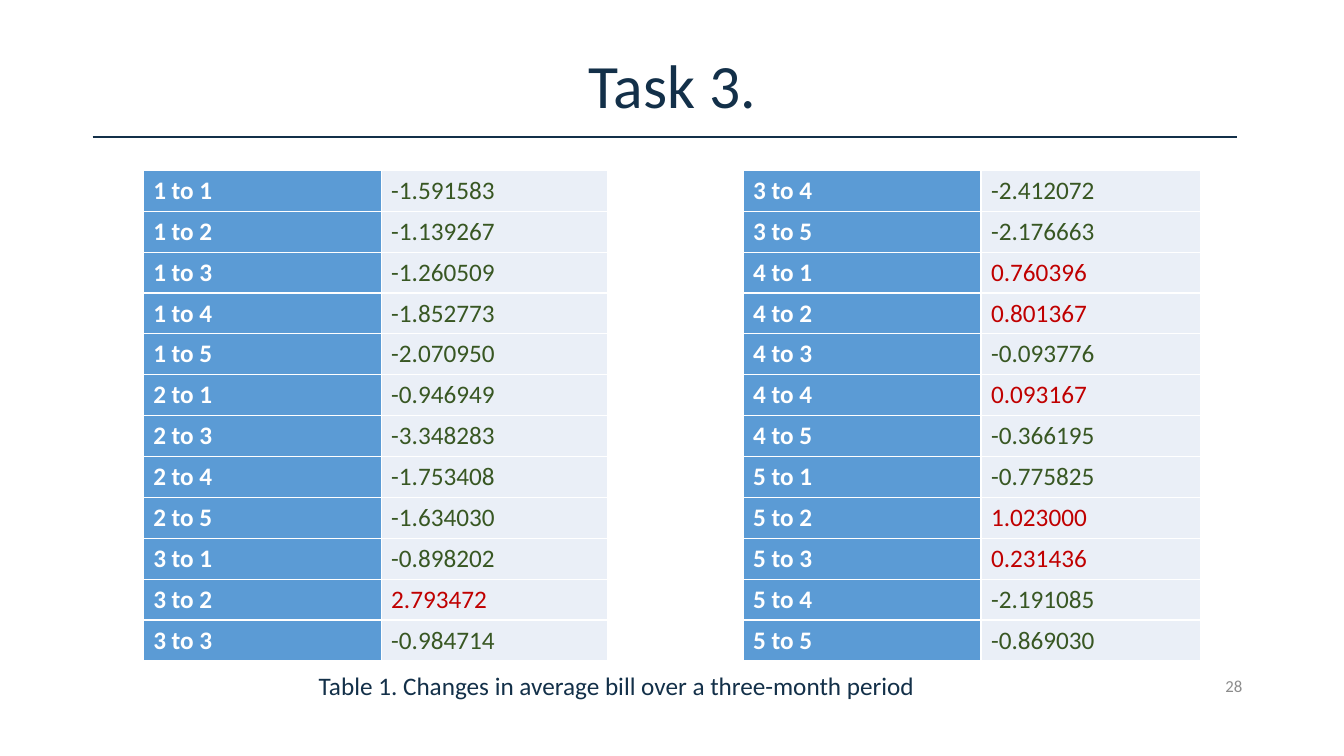
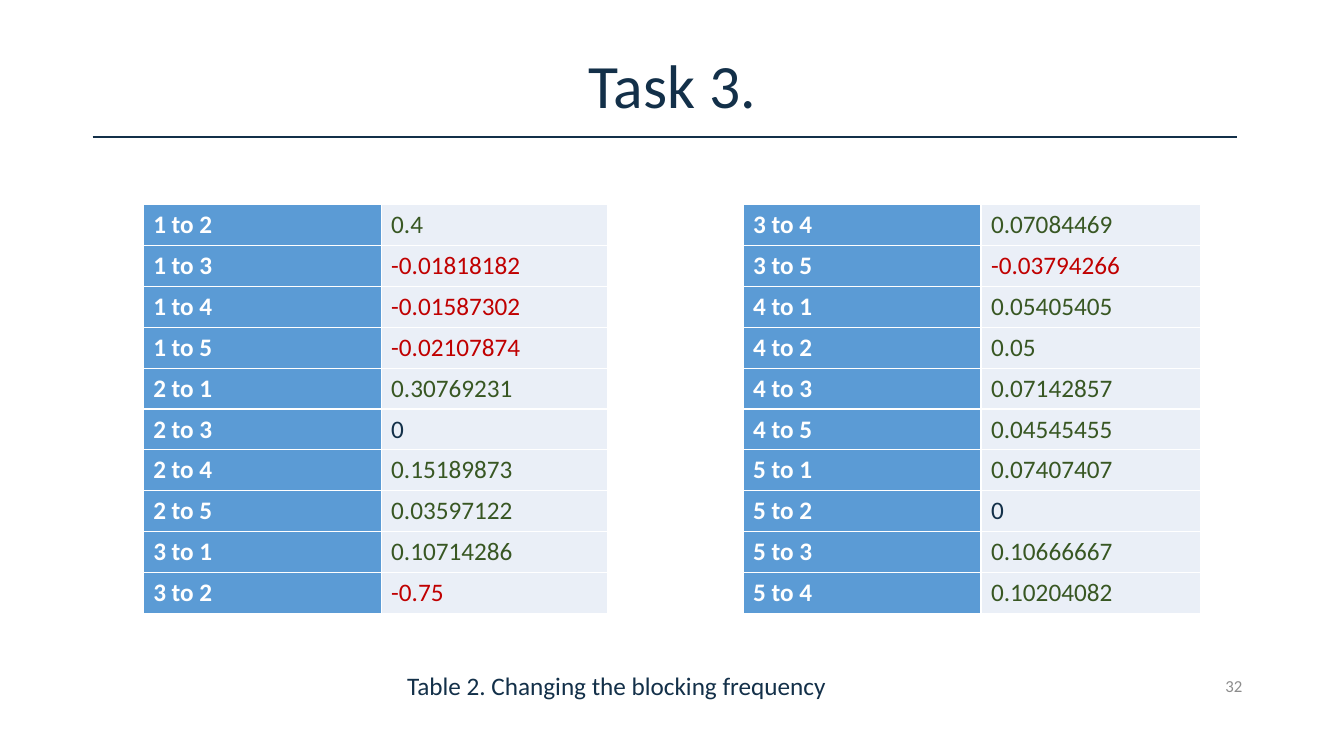
"""Build two slides of paired tables comparing changes between groups."""
import pptx
import pptx.dml.color
import pptx.enum.shapes
import pptx.enum.text
import pptx.oxml
import pptx.oxml.ns
import pptx.util
from pptx.util import Inches

COLORS = {
    "navy": "133049", "gray": "8C8C8C", "white": "FFFFFF", "blue": "5B9BD5",
    "pale": "EAEFF7", "green": "385723", "red": "C00000",
}
ALIGN = pptx.enum.text.PP_ALIGN
MIDDLE = pptx.enum.text.MSO_ANCHOR.MIDDLE
TOP = pptx.enum.text.MSO_ANCHOR.TOP
NAMESPACE = pptx.oxml.ns.nsdecls("a")
ROW_HEIGHT = 0.4
TABLES = [
    {"left": 1.42, "columns": [2.36, 2.25]},
    {"left": 7.37, "columns": [2.36, 2.18]},
]
SLIDES = [
    {
        "number": "28",
        "caption": "Table 1. Changes in average bill over a three-month period",
        "top": 1.69,
        "positive": "red",
        "negative": "green",
        "tables": [
            [("1 to 1", "-1.591583"), ("1 to 2", "-1.139267"), ("1 to 3", "-1.260509"),
             ("1 to 4", "-1.852773"), ("1 to 5", "-2.070950"), ("2 to 1", "-0.946949"),
             ("2 to 3", "-3.348283"), ("2 to 4", "-1.753408"), ("2 to 5", "-1.634030"),
             ("3 to 1", "-0.898202"), ("3 to 2", "2.793472"), ("3 to 3", "-0.984714")],
            [("3 to 4", "-2.412072"), ("3 to 5", "-2.176663"), ("4 to 1", "0.760396"),
             ("4 to 2", "0.801367"), ("4 to 3", "-0.093776"), ("4 to 4", "0.093167"),
             ("4 to 5", "-0.366195"), ("5 to 1", "-0.775825"), ("5 to 2", "1.023000"),
             ("5 to 3", "0.231436"), ("5 to 4", "-2.191085"), ("5 to 5", "-0.869030")],
        ],
    },
    {
        "number": "32",
        "caption": "Table 2. Changing the blocking frequency",
        "top": 2.03,
        "positive": "green",
        "negative": "red",
        "tables": [
            [("1 to 2", "0.4"), ("1 to 3", "-0.01818182"), ("1 to 4", "-0.01587302"),
             ("1 to 5", "-0.02107874"), ("2 to 1", "0.30769231"), ("2 to 3", "0"),
             ("2 to 4", "0.15189873"), ("2 to 5", "0.03597122"), ("3 to 1", "0.10714286"),
             ("3 to 2", "-0.75")],
            [("3 to 4", "0.07084469"), ("3 to 5", "-0.03794266"), ("4 to 1", "0.05405405"),
             ("4 to 2", "0.05"), ("4 to 3", "0.07142857"), ("4 to 5", "0.04545455"),
             ("5 to 1", "0.07407407"), ("5 to 2", "0"), ("5 to 3", "0.10666667"),
             ("5 to 4", "0.10204082")],
        ],
    },
]


def write_text(frame, text, size, color, align=ALIGN.LEFT, bold=False):
    """Write one formatted paragraph and return it."""
    para = frame.paragraphs[0]
    para.alignment = align
    span = para.add_run()
    span.text = text
    font_values = {"name": "Calibri", "size": pptx.util.Pt(size), "bold": bold}
    for name, value in font_values.items():
        setattr(span.font, name, value)
    span.font.color.rgb = pptx.dml.color.RGBColor.from_string(COLORS[color])
    return para


def style_cell(cell, fill):
    """Give a cell thin white borders and a solid fill."""
    properties = cell._tc.get_or_add_tcPr()
    for side in ("lnL", "lnR", "lnT", "lnB"):
        properties.append(pptx.oxml.parse_xml(
            f'<a:{side} {NAMESPACE} w="{pptx.util.Pt(1)}"><a:solidFill>'
            f'<a:srgbClr val="{COLORS["white"]}"/></a:solidFill></a:{side}>'))
    cell.fill.solid()
    cell.fill.fore_color.rgb = pptx.dml.color.RGBColor.from_string(COLORS[fill])


deck = pptx.Presentation()
deck.slide_width = Inches(13.33)
deck.slide_height = Inches(7.5)

for content in SLIDES:
    page = deck.slides.add_slide(deck.slide_layouts[5])

    title = page.shapes.title
    title_place = {"left": 0.92, "top": 0.4, "width": 11.5, "height": 0.96}
    for name, value in title_place.items():
        setattr(title, name, Inches(value))
    title.text_frame.vertical_anchor = MIDDLE
    heading = write_text(title.text_frame, "Task 3.", 44, "navy", ALIGN.CENTER)
    heading.line_spacing = 0.9

    rule = page.shapes.add_connector(
        pptx.enum.shapes.MSO_CONNECTOR.STRAIGHT,
        Inches(0.92), Inches(1.36), Inches(12.27), Inches(1.36))
    rule.line.color.rgb = pptx.dml.color.RGBColor.from_string(COLORS["navy"])
    rule.line.width = pptx.util.Pt(1.75)
    rule._element.spPr.append(pptx.oxml.parse_xml(f"<a:effectLst {NAMESPACE}/>"))

    for layout, rows in zip(TABLES, content["tables"]):
        frame = page.shapes.add_table(
            len(rows), 2, Inches(layout["left"]), Inches(content["top"]),
            Inches(sum(layout["columns"])), Inches(ROW_HEIGHT * len(rows)))
        table = frame.table
        table.first_row = False
        table.first_col = True
        table.horz_banding = False
        for column, width in zip(table.columns, layout["columns"]):
            column.width = Inches(width)
        for index, (label, value) in enumerate(rows):
            table.rows[index].height = Inches(ROW_HEIGHT)
            label_cell, value_cell = table.rows[index].cells
            style_cell(label_cell, "blue")
            write_text(label_cell.text_frame, label, 18, "white", bold=True)
            amount = float(value)
            if amount == 0:
                color = "navy"
            else:
                color = content["positive"] if amount > 0 else content["negative"]
            style_cell(value_cell, "pale")
            write_text(value_cell.text_frame, value, 18, color)

    footers = [
        (content["caption"], 2.81, 6.61, 18, "navy", ALIGN.CENTER, TOP),
        (content["number"], 9.42, 3, 12, "gray", ALIGN.RIGHT, MIDDLE),
    ]
    for text, left, width, size, color, align, anchor in footers:
        box = page.shapes.add_textbox(Inches(left), Inches(6.6), Inches(width), Inches(0.4))
        box.text_frame.word_wrap = True
        box.text_frame.vertical_anchor = anchor
        write_text(box.text_frame, text, size, color, align)

deck.save("out.pptx")
